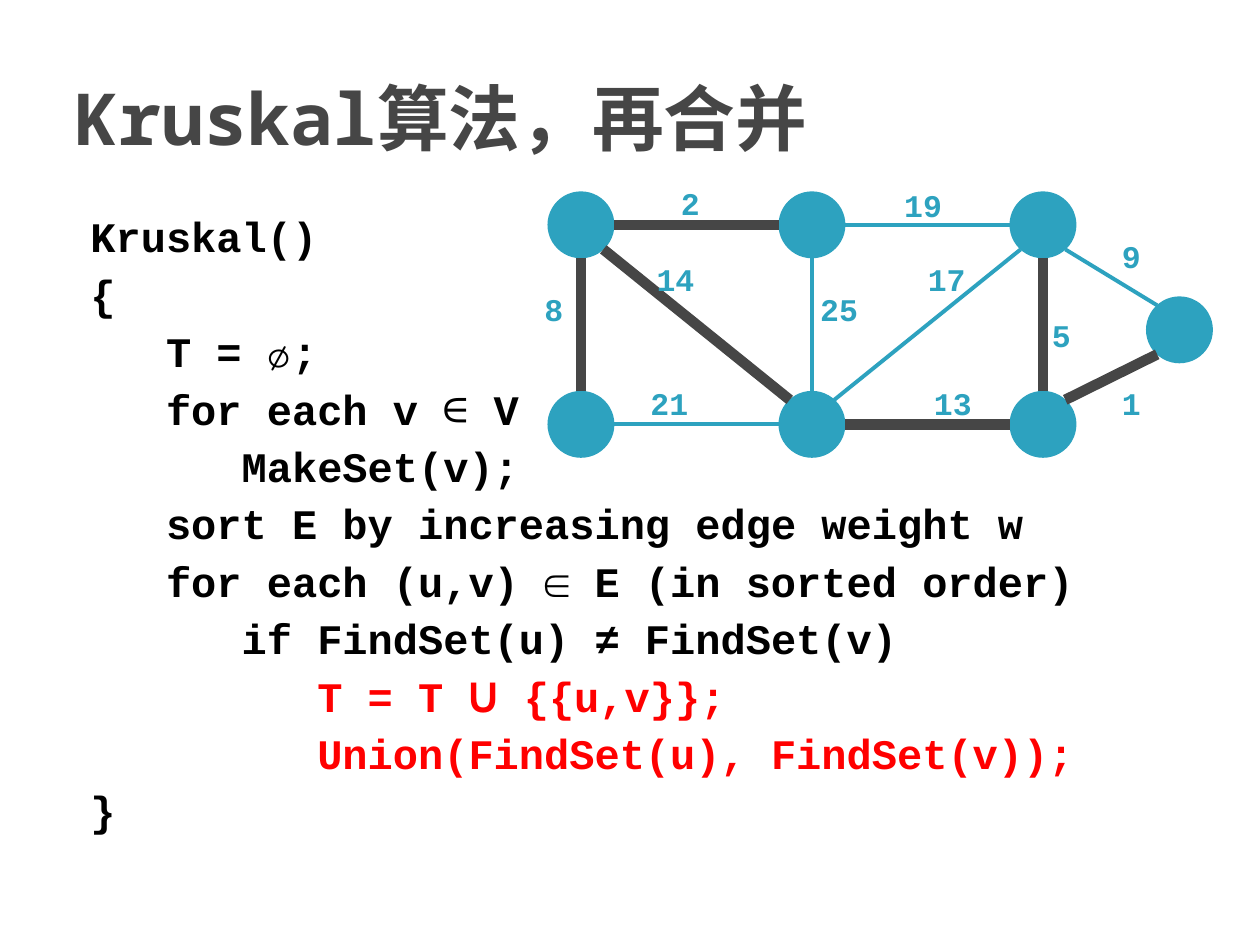
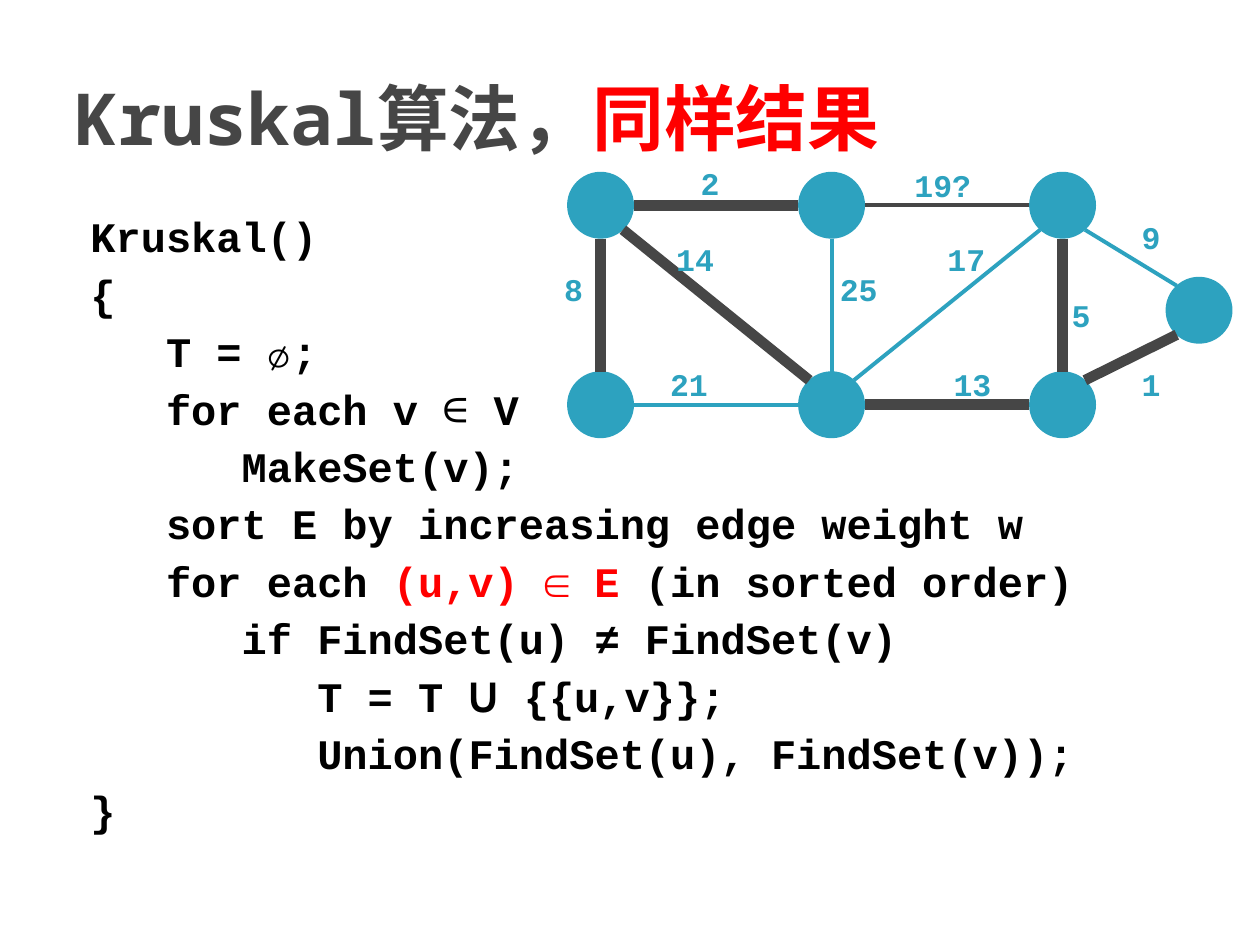
import pptx
import pptx.dml.color
import pptx.enum.shapes
import pptx.enum.text
import pptx.oxml.ns
import pptx.util
from lxml import etree

Pt = pptx.util.Pt
ALIGN = pptx.enum.text.PP_ALIGN
ANCHOR = pptx.enum.text.MSO_ANCHOR

COLORS = {"ink": "000000", "dark": "464646", "teal": "2DA2BF", "red": "FF0000"}
CODE, MONO, SANS = "Courier New", "Noto Sans Mono", "Cabin"
SIGNS = {"∈": (MONO, False), "U": (SANS, True)}
THIN, THICK = 2.25, 6

# Node centres, measured from node "a"
NODES = {"a": (0, 0), "b": (132, 0), "c": (264, 0), "d": (342, 60),
         "e": (0, 114), "f": (132, 114), "g": (264, 114)}
# Ends, weight, centre of the weight, whether the edge is in the tree
EDGES = [("ab", "2", (62.5, -11.5), True), ("bc", "19", (195.5, -10.5), False),
         ("cf", "17", (209, 32), False), ("ef", "21", (50.5, 103), False),
         ("ae", "8", (-15.5, 49), True), ("af", "14", (54, 32), True),
         ("bf", "25", (147.5, 49), False), ("fg", "13", (212.5, 103), True),
         ("cg", "5", (274.5, 64), True), ("cd", "9", (314.5, 19), False),
         ("dg", "1", (314.5, 103), True)]

# Each line is a list of (text, tag); a slide paints one tag red
LINES = [
    [("Kruskal()", "")],
    [("{", "")],
    [("   T = ∅;", "")],
    [("   for each v ", ""), ("∈", ""), (" V", "")],
    [("      MakeSet(v);", "")],
    [("   sort E by increasing edge weight w", "")],
    [("   for each ", ""), ("(u,v) ∈ E ", "pick"), ("(in sorted order)", "")],
    [("      if FindSet(u) ≠ FindSet(v)", "")],
    [("         T = T ", "join"), ("U", "join"), (" {{u,v}};", "join")],
    [("         Union(FindSet(u), FindSet(v));", "join")],
    [("}", "")],
]


def tint(name):
    return pptx.dml.color.RGBColor.from_string(COLORS[name])


def sign(num):
    return (num > 0) - (num < 0)


class Deck:
    def __init__(self):
        self.file = pptx.Presentation()
        self.file.slide_width, self.file.slide_height = Pt(720), Pt(540)
        self.slide = None

    def page(self):
        self.slide = self.file.slides.add_slide(self.file.slide_layouts[6])

    def frame(self, x, y, w, h, wrap=True):
        frame = self.slide.shapes.add_textbox(Pt(x), Pt(y), Pt(w), Pt(h)).text_frame
        frame.word_wrap = wrap
        return frame

    def style(self, para, face, size, color=None):
        font = para.font
        font.name, font.size, font.bold = face, Pt(size), True
        if color:
            font.color.rgb = tint(color)

    def run(self, para, text, color=None):
        run = para.add_run()
        run.text = text
        if color:
            run.font.color.rgb = tint(color)
        return run

    def title(self, head, tail, color):
        frame = self.frame(36, 21.6, 648, 90)
        frame.vertical_anchor = ANCHOR.MIDDLE
        para = frame.paragraphs[0]
        self.style(para, MONO, 41)
        self.run(para, head, "dark")
        self.run(para, tail, color)

    def code(self, hot):
        frame = self.frame(36, 117, 648, 356)
        for row, line in enumerate(LINES):
            para = frame.add_paragraph() if row else frame.paragraphs[0]
            props = para._p.get_or_add_pPr()
            props.set("marL", str(Pt(28.8)))
            props.set("indent", str(-Pt(20.2)))
            if row:
                para.space_before = Pt(4)
            self.style(para, CODE, 24)
            for text, tag in line:
                run = self.run(para, text, "red" if tag == hot else "ink")
                if text in SIGNS:
                    run.font.name, run.font.bold = SIGNS[text]

    def node(self, x, y):
        dot = self.slide.shapes.add_shape(
            pptx.enum.shapes.MSO_SHAPE.OVAL, Pt(x - 18), Pt(y - 18), Pt(36), Pt(36))
        dot.shadow.inherit = False
        dot.fill.solid()
        dot.fill.fore_color.rgb = dot.line.color.rgb = tint("teal")
        dot.line.width = Pt(THIN)

    def edge(self, start, end, color, width):
        """Join two node centres, stopping at the rim of each node."""
        (x1, y1), (x2, y2) = start, end
        gap_x, gap_y = (12.75, 14) if x1 != x2 and y1 != y2 else (19, 19)
        dx, dy = gap_x * sign(x2 - x1), gap_y * sign(y2 - y1)
        line = self.slide.shapes.add_connector(
            pptx.enum.shapes.MSO_CONNECTOR.STRAIGHT,
            Pt(x1 + dx), Pt(y1 + dy), Pt(x2 - dx), Pt(y2 - dy))
        line.line.color.rgb = tint(color)
        line.line.width = Pt(width)
        etree.SubElement(line._element.spPr, pptx.oxml.ns.qn("a:effectLst"))

    def label(self, text, x, y):
        width = 15 + 12 * len(text)
        frame = self.frame(x - width / 2, y - 15.5, width, 31, wrap=False)
        frame.auto_size = pptx.enum.text.MSO_AUTO_SIZE.SHAPE_TO_FIT_TEXT
        para = frame.paragraphs[0]
        para.alignment = ALIGN.CENTER
        self.style(para, CODE, 18, "teal")
        self.run(para, text)

    def graph(self, left, top, asked=None):
        """Draw the weighted graph; the asked edge is dark with a question mark."""
        spots = {key: (left + x, top + y) for key, (x, y) in NODES.items()}
        for spot in spots.values():
            self.node(*spot)
        for ends, _, _, tree in EDGES:
            color = "dark" if tree or ends == asked else "teal"
            self.edge(spots[ends[0]], spots[ends[1]], color, THICK if tree else THIN)
        for ends, weight, (x, y), _ in EDGES:
            self.label(weight + "?" * (ends == asked), left + x, top + y)


def main():
    deck = Deck()
    for tail, color, hot, spot, asked in [
            ("再合并", "dark", "join", (332, 128.5), None),
            ("同样结果", "red", "pick", (343.2, 117.3), "bc")]:
        deck.page()
        deck.title("Kruskal算法，", tail, color)
        deck.code(hot)
        deck.graph(*spot, asked)
    deck.file.save("out.pptx")


if __name__ == "__main__":
    main()
